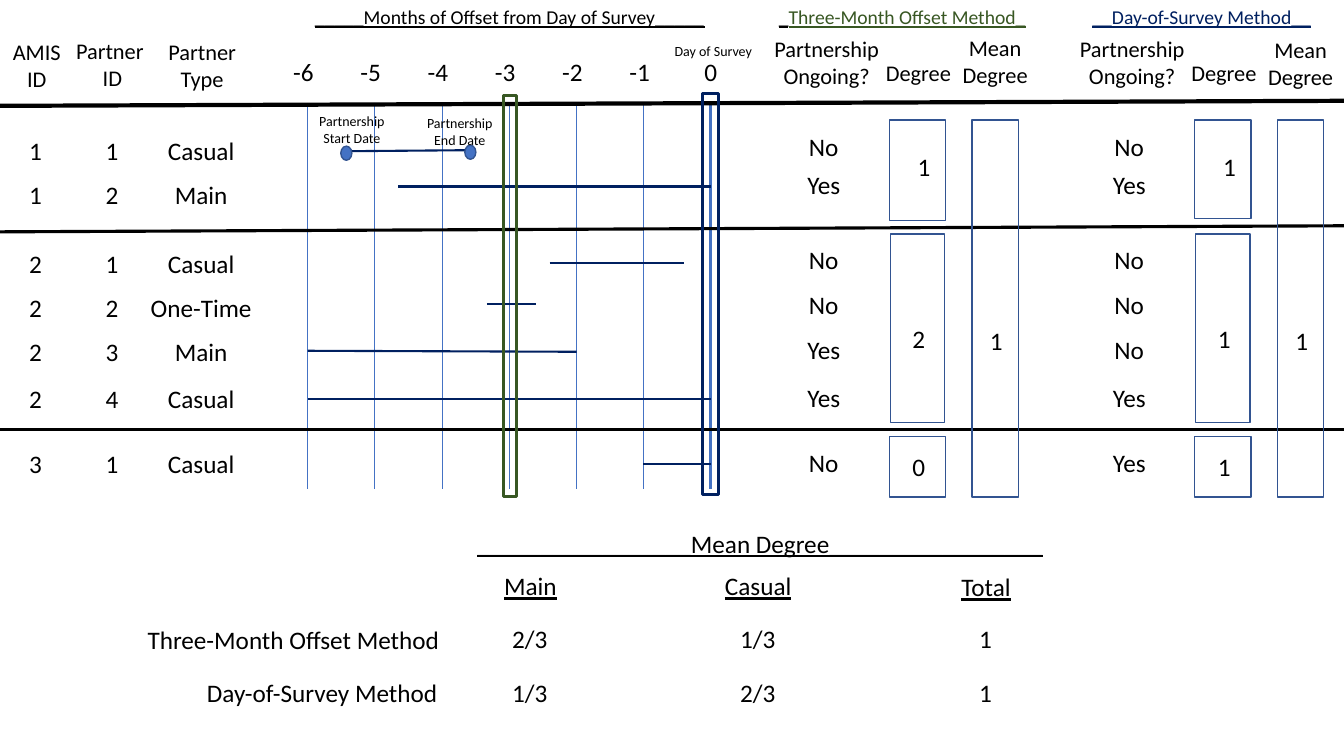
from lxml.etree import SubElement
from pptx import Presentation
from pptx.dml.color import RGBColor
from pptx.enum.shapes import MSO_CONNECTOR, MSO_SHAPE
from pptx.enum.text import MSO_AUTO_SIZE, PP_ALIGN
from pptx.oxml.ns import qn
from pptx.util import Inches, Pt

BLACK, NAVY, GREEN = "000000", "002060", "385723"
BLUE, BOX_BLUE = "4472C4", "325491"
LINE, RECT = MSO_CONNECTOR.STRAIGHT, MSO_SHAPE.RECTANGLE

deck = Presentation()
deck.slide_width, deck.slide_height = Inches(13.33), Inches(7.5)
slide = deck.slides.add_slide(deck.slide_layouts[6])


def write(text, left, top, width, height=0.4, size=18, color=BLACK,
          underline=None, align=PP_ALIGN.CENTER, lead=""):
    """Add a text box, one paragraph per line, after an optional black lead."""
    label = slide.shapes.add_textbox(
        Inches(left), Inches(top), Inches(width), Inches(height))
    frame = label.text_frame
    frame.word_wrap = True
    frame.auto_size = MSO_AUTO_SIZE.SHAPE_TO_FIT_TEXT
    for number, line in enumerate(text.split("\n")):
        paragraph = frame.add_paragraph() if number else frame.paragraphs[0]
        paragraph.alignment = align
        for words, shade in [(lead, BLACK), (line, color)]:
            if words:
                run = paragraph.add_run()
                run.text = words
                run.font.name, run.font.size = "Calibri", Pt(size)
                run.font.underline = underline
                run.font.color.rgb = RGBColor.from_string(shade)


def draw(kind, a, b, c, d, color, weight, fill=None):
    """Draw a line from (a, b) to (c, d), or a shape at (a, b) sized c by d."""
    extent = [Inches(value) for value in (a, b, c, d)]
    if kind is LINE:
        mark = slide.shapes.add_connector(kind, *extent)
        SubElement(mark._element.spPr, qn("a:effectLst"))
    else:
        mark = slide.shapes.add_shape(kind, *extent)
        mark.shadow.inherit = False
        if fill:
            mark.fill.solid()
            mark.fill.fore_color.rgb = RGBColor.from_string(fill)
        else:
            mark.fill.background()
    mark.line.color.rgb = RGBColor.from_string(color)
    mark.line.width = Pt(weight)


# Month axis: one grid line and label per month, ending on the survey day
AXIS_LEFT, MONTH_STEP = 3.05, 4 / 6
for month in range(-6, 1):
    x = AXIS_LEFT + (month + 6) * MONTH_STEP
    draw(LINE, x, 1.02, x, 4.85, BLUE, 0.5 if month else 2.25)
    write(str(month), x - (0.27 if month else 0.23), 0.51, 0.46)
write("_____Months of Offset from Day of Survey_____", 3.01, 0, 4.09, 0.34,
      size=14, underline=True)
write("Day of Survey", 6.56, 0.37, 1.03, 0.27, size=10)

# Partnership listing
for heading, left, top, width in [("AMIS\nID", 0.01, 0.33, 0.71),
                                  ("Partner \nID", 0.48, 0.32, 1.27),
                                  ("Partner\nType", 1.56, 0.33, 0.89)]:
    write(heading, left, top, width, 0.64, size=16)
partnerships = [("1", "1", "Casual", 1.29), ("1", "2", "Main", 1.73),
                ("2", "1", "Casual", 2.41), ("2", "2", "One-Time", 2.85),
                ("2", "3", "Main", 3.29), ("2", "4", "Casual", 3.75),
                ("3", "1", "Casual", 4.4)]
for amis_id, partner_id, partner_type, top in partnerships:
    write(amis_id, 0.19, top, 0.33, align=PP_ALIGN.LEFT)
    write(partner_id, 0.95, top, 0.33, align=PP_ALIGN.LEFT)
    write(partner_type, 1.37, top, 1.25)

# Partnership spans along the axis
for start, start_y, end, end_y in [
        (3.45, 1.5, 4.67, 1.49), (3.95, 1.85, 7.05, 1.85),
        (5.45, 2.61, 6.78, 2.61), (4.83, 3.02, 5.32, 3.02),
        (3.05, 3.48, 5.72, 3.49), (3.05, 3.96, 7.05, 3.96),
        (6.38, 4.6, 7.05, 4.6)]:
    draw(LINE, start, start_y, end, end_y, NAVY, 1.5)

# Rules between participants
for left_y, right_y, weight in [(1.05, 1, 3), (2.3, 2.24, 2.25),
                                (4.26, 4.26, 2.25)]:
    draw(LINE, 0, left_y, 13.33, right_y, BLACK, weight)

# Start and end dates of the first partnership
for caption, left, top, dot_left, dot_top in [
        ("Partnership\nStart Date", 3.05, 1.07, 3.38, 1.45),
        ("Partnership\nEnd Date", 4.12, 1.09, 4.61, 1.44)]:
    draw(MSO_SHAPE.OVAL, dot_left, dot_top, 0.11, 0.14, BOX_BLUE, 1, fill=BLUE)
    write(caption, left, top, 0.88, 0.44, size=10)

# Windows marking the two measurement points
draw(RECT, 4.99, 0.95, 0.13, 3.98, GREEN, 2.25)
draw(RECT, 6.97, 0.93, 0.16, 3.98, NAVY, 2.25)

# Method panels: same layout, the second one shifted to the right
write("Three-Month Offset Method_", 7.46, 0, 2.98, 0.34,
      size=14, color=GREEN, underline=True, lead="_")
write("__Day-of-Survey Method__", 10.72, 0, 2.4, 0.34,
      size=14, color=NAVY, underline=True)
ANSWER_TOPS = [1.25, 1.63, 2.37, 2.82, 3.27, 3.74, 4.39]
methods = [
    (0, ["No", "Yes", "No", "No", "Yes", "Yes", "No"], "120", 1, 0.29),
    (3.03, ["No", "Yes", "No", "No", "No", "Yes", "Yes"], "111", 0.98, 0.31)]
for shift, answers, degrees, first_height, mean_top in methods:
    write("Partnership\nOngoing?", 7.57 + shift, 0.3, 1.26, 0.64, size=16)
    write("Degree", 8.63 + shift, 0.54, 0.96, 0.37, size=16)
    write("Mean\nDegree", 9.44 + shift, mean_top, 0.86, 0.64, size=16)
    for answer, top in zip(answers, ANSWER_TOPS):
        write(answer, 7.81 + shift, top, 0.72)
    for left, top, width, height in [(8.82, 1.19, 0.56, first_height),
                                     (8.83, 2.32, 0.54, 1.87),
                                     (8.82, 4.33, 0.56, 0.6),
                                     (9.64, 1.19, 0.46, 3.74)]:
        draw(RECT, left + shift, top, width, height, BOX_BLUE, 1)
    write(degrees[0], 9.03 + shift, 1.45, 0.17)
    for value, left, top in [(degrees[1], 8.95, 3.16), (degrees[2], 8.95, 4.43),
                             ("1", 9.72, 3.18)]:
        write(value, left + shift, top, 0.29, align=PP_ALIGN.LEFT)

# Mean degree summary
write("_________________Mean Degree_________________", 4.01, 5.19, 7.06,
      underline=True)
write("Three-Month Offset Method", 1.36, 6.14, 3.1)
write("Day-of-Survey Method", 1.93, 6.67, 2.53)
for column, (group, top, *means) in enumerate([
        ("Main", 5.61, "2/3", "1/3"), ("Casual", 5.61, "1/3", "2/3"),
        ("Total", 5.62, "1", "1")]):
    left = 4.8 + column * 2.26
    write(group, left, top, 0.92, underline=True)
    for mean, mean_top in zip(means, (6.13, 6.67)):
        write(mean, left + 0.15, mean_top, 0.61)

deck.save("out.pptx")
